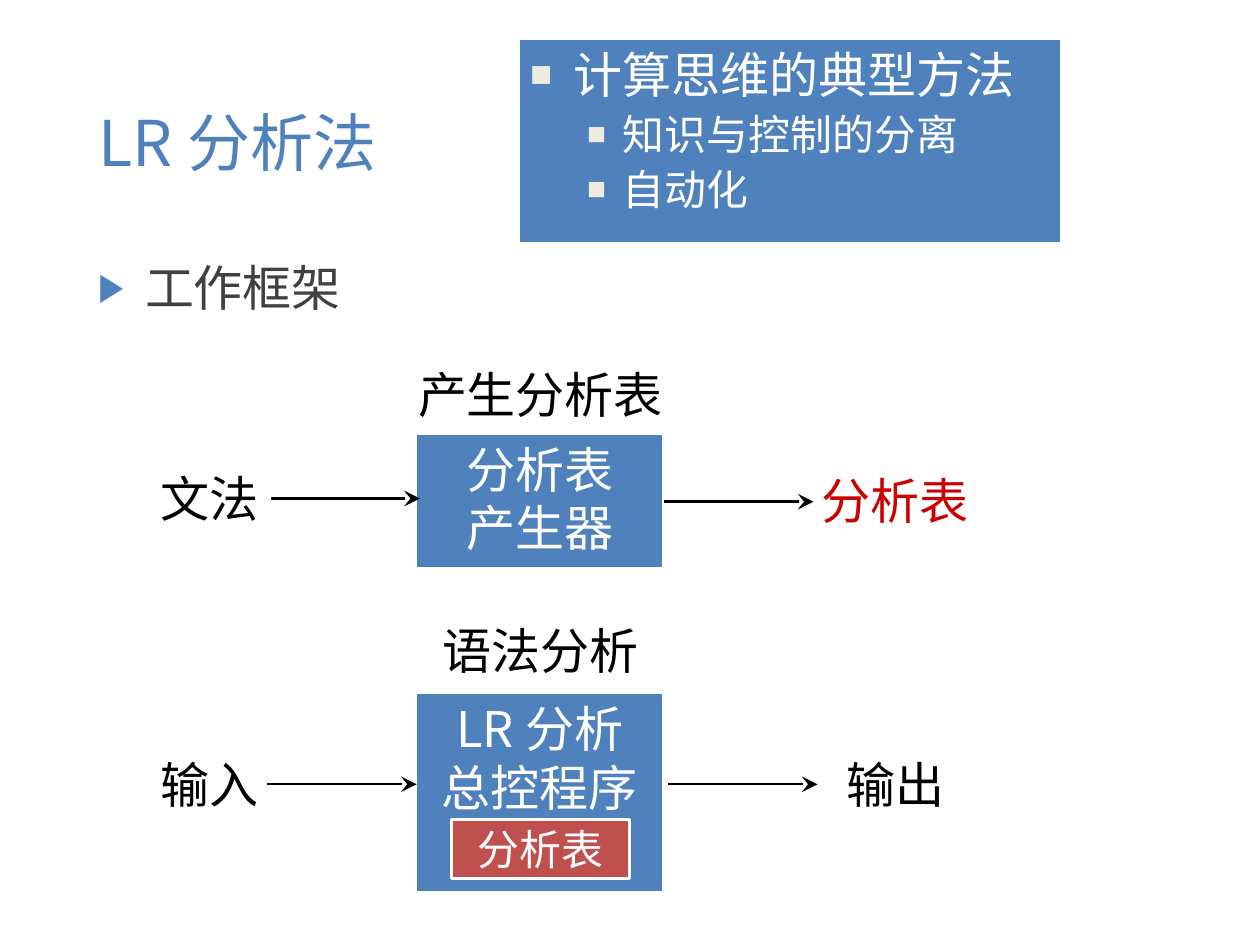
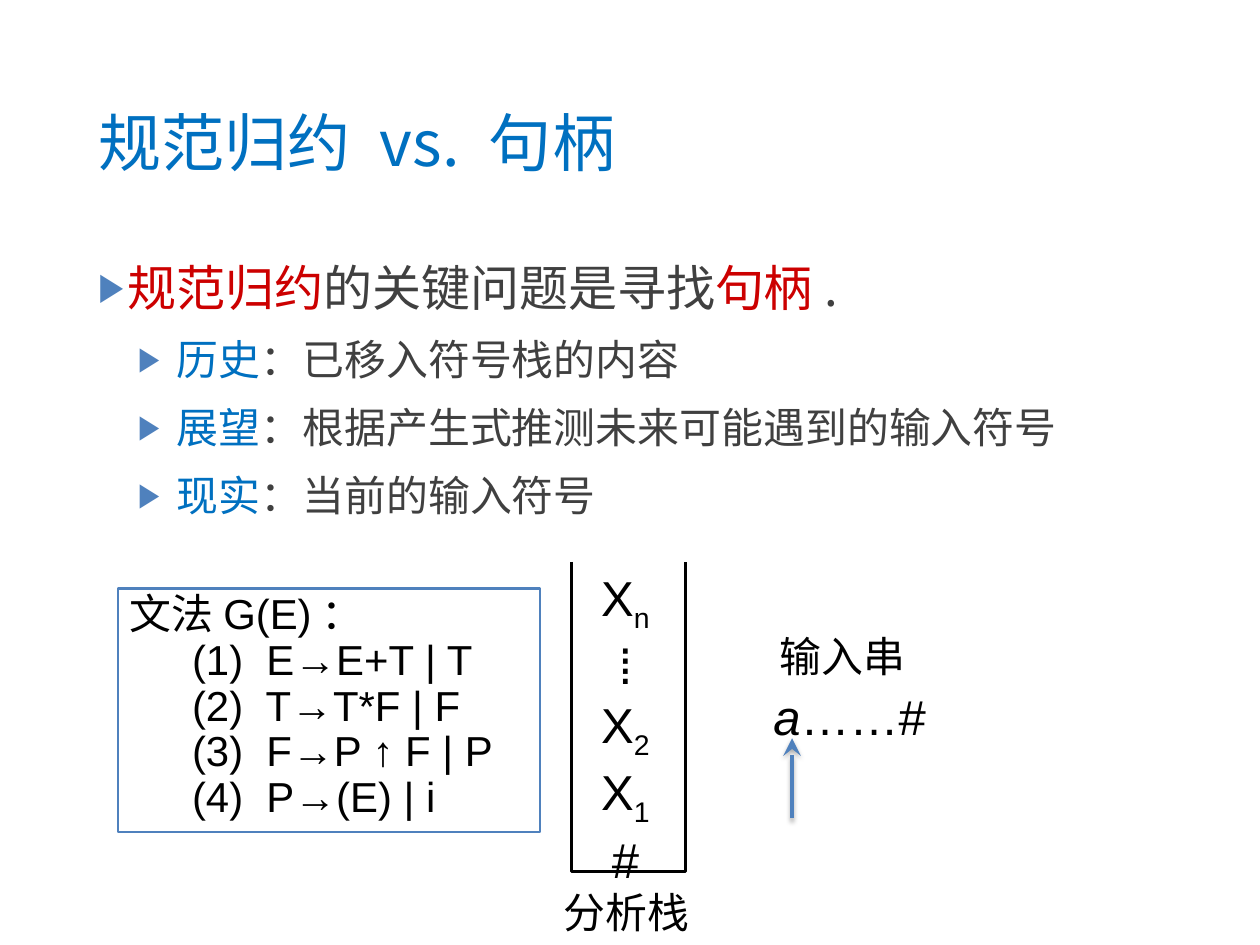
from dataclasses import dataclass
from typing import Any, NamedTuple, Optional

from lxml import etree
from pptx import Presentation
from pptx.dml.color import RGBColor
from pptx.enum.shapes import MSO_CONNECTOR, MSO_SHAPE
from pptx.enum.text import MSO_ANCHOR, MSO_AUTO_SIZE, PP_ALIGN
from pptx.oxml.ns import qn
from pptx.util import Pt

STRAIGHT = MSO_CONNECTOR.STRAIGHT
RECT = MSO_SHAPE.RECTANGLE
TOP, MIDDLE = MSO_ANCHOR.TOP, MSO_ANCHOR.MIDDLE
NO_FIT = MSO_AUTO_SIZE.NONE
LEFT, CENTER = PP_ALIGN.LEFT, PP_ALIGN.CENTER

BLUE = RGBColor(0x4F, 0x81, 0xBD)
AZURE = RGBColor(0x00, 0x70, 0xC0)
BRICK = RGBColor(0xC0, 0x50, 0x4D)
RED = RGBColor(0xCC, 0x00, 0x00)
GREY = RGBColor(0x40, 0x40, 0x40)
CREAM = RGBColor(0xEE, 0xEC, 0xE1)
BLACK = RGBColor(0x00, 0x00, 0x00)
WHITE = RGBColor(0xFF, 0xFF, 0xFF)

SANS, LATIN = "Noto Sans CJK SC", "Arial"
HUGE, LARGE, SMALL = 39.7, 30.9, 26.45
TIGHT = 1.2


class Box(NamedTuple):
    left: float
    top: float
    width: float
    height: float


class Run(NamedTuple):
    text: str
    color: RGBColor = BLACK
    face: str = SANS
    slant: bool = False
    base: int = 0


class Mark(NamedTuple):
    sign: str
    color: RGBColor
    scale: int


@dataclass
class Line:
    runs: list[Run]
    size: float = LARGE
    align: Any = CENTER
    level: int = 0
    margin: float = 0
    hang: float = 0
    before: float = 0
    pitch: Optional[float] = None
    mark: Optional[Mark] = None


class Label(NamedTuple):
    box: Box
    line: Line


class Arrow(NamedTuple):
    start: tuple[float, float]
    end: tuple[float, float]
    color: RGBColor = BLACK
    width: float = 1.5
    shade: bool = False


TITLE = Box(54.8, 31.7, 685, 115)
BODY = Box(54.8, 158.5, 685, 378)
WEDGE = Mark("▶", BLUE, 80)
SQUARE = Mark("■", CREAM, 75)


def assign(item: Any, values: dict[str, Any]) -> None:
    for key, value in values.items():
        setattr(item, key, value)


def place(box: Box) -> list[int]:
    return [Pt(value) for value in box]


def child(parent: Any, tag: str, **values: str) -> Any:
    node = etree.SubElement(parent, qn(tag))
    for key, value in values.items():
        node.set(key, value)
    return node


def add_mark(para: Any, mark: Mark) -> None:
    props = para._p.get_or_add_pPr()
    child(child(props, "a:buClr"), "a:srgbClr", val=str(mark.color))
    child(props, "a:buSzPct", val=str(mark.scale * 1000))
    child(props, "a:buFont", typeface=LATIN)
    child(props, "a:buChar", char=mark.sign)


def add_run(para: Any, part: Run, size: float) -> None:
    run = para.add_run()
    run.text = part.text
    assign(run.font, {"size": Pt(size), "name": part.face, "italic": part.slant})
    run.font.color.rgb = part.color
    props = run._r.get_or_add_rPr()
    child(props, "a:ea", typeface=SANS)
    if part.base:
        props.set("baseline", str(part.base * 1000))


def write(shape: Any, lines: list[Line], anchor: Any = TOP,
          wrap: bool = True, inset: float = 3.6) -> None:
    frame = shape.text_frame
    assign(frame, {
        "auto_size": NO_FIT, "word_wrap": wrap, "vertical_anchor": anchor,
        "margin_left": Pt(7.2), "margin_right": Pt(7.2),
        "margin_top": Pt(inset), "margin_bottom": Pt(3.6),
    })
    for index, line in enumerate(lines):
        para = frame.add_paragraph() if index else frame.paragraphs[0]
        if line.mark:
            add_mark(para, line.mark)
        assign(para, {"alignment": line.align, "level": line.level,
                      "space_before": Pt(line.before if index else 0)})
        if line.pitch:
            para.line_spacing = Pt(line.pitch)
        props = para._p.get_or_add_pPr()
        props.set("marL", str(Pt(line.margin)))
        props.set("indent", str(Pt(line.hang)))
        for part in line.runs:
            add_run(para, part, line.size)


def add_text(slide: Any, box: Box, lines: list[Line], **style: Any) -> None:
    write(slide.shapes.add_textbox(*place(box)), lines, **style)


def add_label(slide: Any, label: Label) -> None:
    add_text(slide, label.box, [label.line], anchor=MIDDLE, wrap=False)


def add_panel(slide: Any, box: Box, fill: RGBColor, lines: list[Line],
              edge: RGBColor = WHITE, width: float = 2, **style: Any) -> None:
    panel = slide.shapes.add_shape(RECT, *place(box))
    panel.shadow.inherit = False
    panel.fill.solid()
    panel.fill.fore_color.rgb = fill
    panel.line.color.rgb = edge
    panel.line.width = Pt(width)
    write(panel, lines, **style)


def add_arrow(slide: Any, arrow: Arrow) -> None:
    ends = [Pt(value) for value in (*arrow.start, *arrow.end)]
    link = slide.shapes.add_connector(STRAIGHT, *ends)
    link.line.color.rgb = arrow.color
    link.line.width = Pt(arrow.width)
    child(link.line._get_or_add_ln(), "a:tailEnd", type="stealth", w="lg", len="lg")
    effects = child(link._element.spPr, "a:effectLst")
    if arrow.shade:
        shadow = child(effects, "a:outerShdw", blurRad=str(Pt(3)),
                       dist=str(Pt(2)), dir="5400000", rotWithShape="0")
        child(child(shadow, "a:srgbClr", val=str(BLACK)), "a:alpha", val="35000")


def add_slide(deck: Any, title: str, color: RGBColor) -> Any:
    slide = deck.slides.add_slide(deck.slide_layouts[5])
    head = slide.shapes.title
    assign(head, dict(zip(("left", "top", "width", "height"), place(TITLE))))
    write(head, [Line([Run(title, color)], HUGE, LEFT)], MIDDLE)
    return slide


def point(runs: list[Run], size: float, mark: Mark, margin: float,
          hang: float, level: int = 0, before: float = 11) -> Line:
    return Line(runs, size, LEFT, level, margin, -hang, before, size * TIGHT, mark)


def stacked(text: str) -> Line:
    return Line([Run(text, WHITE)], pitch=LARGE * TIGHT)


def draw_frame(deck: Any) -> None:
    slide = add_slide(deck, "LR分析法", BLUE)
    add_text(slide, BODY, [point([Run("工作框架", GREY)], LARGE, WEDGE, 29.5, 29.5)])
    for box, texts in (
        (Box(262, 273, 156.2, 85.5), ("分析表", "产生器")),
        (Box(262, 436.3, 156.2, 126), ("LR分析", "总控程序")),
    ):
        add_panel(slide, box, BLUE, [stacked(text) for text in texts])
    add_panel(slide, Box(284.4, 516, 112.3, 37.4), BRICK,
              [Line([Run("分析表", WHITE)], SMALL)], anchor=MIDDLE, wrap=False)
    for left, top, width, text, color in (
        (82, 287.5, 100, "文法", BLACK),
        (514, 288.5, 100, "分析表", RED),
        (82, 467.5, 100, "输入", BLACK),
        (514, 467.5, 100, "输出", BLACK),
        (258.5, 222, 164, "产生分析表", BLACK),
        (258.5, 383, 164, "语法分析", BLACK),
    ):
        add_label(slide, Label(Box(left, top, width, 52.5), Line([Run(text, color)])))
    for left, level in ((170.5, 314), (418.5, 316), (168.5, 494), (421, 494)):
        add_arrow(slide, Arrow((left, level), (left + 94, level)))
    ideas = [point([Run("计算思维的典型方法", WHITE)], LARGE, SQUARE, 27.5, 27.5)]
    ideas += [point([Run(text, WHITE)], SMALL, SQUARE, 58.5, 22.5, 1, 3)
              for text in ("知识与控制的分离", "自动化")]
    add_panel(slide, Box(326.8, 24.5, 342, 129), BLUE, ideas)


def draw_stack(slide: Any) -> None:
    left, top, right, base = (Pt(value) for value in (360, 354, 432, 549.2))
    path = slide.shapes.build_freeform(left, top, scale=1.0)
    path.add_line_segments([(left, base), (right, base), (right, top)], close=False)
    wall = path.convert_to_shape()
    wall.shadow.inherit = False
    wall.fill.background()
    wall.line.color.rgb = BLACK
    wall.line.width = Pt(1.75)
    cells = [Line([Run(sign, face=LATIN)] + [Run(sub, face=LATIN, base=-25)] * bool(sub),
                  pitch=42 if sub else 38)
             for sign, sub in (("X", "n"), ("⁞", ""), ("X", "2"), ("X", "1"), ("#", ""))]
    add_text(slide, Box(369, 354, 50, 194.5), cells, wrap=False)


def draw_handle(deck: Any) -> None:
    slide = add_slide(deck, "规范归约 vs. 句柄", AZURE)
    points = [point([Run("规范归约", RED), Run("的关键问题是寻找", GREY),
                     Run("句柄", RED), Run(".", GREY)], LARGE, WEDGE, 18.5, 18.5)]
    points += [point([Run(term, AZURE), Run(text, GREY)], SMALL, WEDGE, 49.5, 24.5, 1)
               for term, text in (
                   ("历史", "：已移入符号栈的内容"),
                   ("展望", "：根据产生式推测未来可能遇到的输入符号"),
                   ("现实", "：当前的输入符号"))]
    add_text(slide, BODY, points)
    draw_stack(slide)
    for label in (
        Label(Box(479.5, 428.5, 111.5, 44.5),
              Line([Run("a", face=LATIN, slant=True), Run("……#", face=LATIN)])),
        Label(Box(347, 554.5, 95, 39.5), Line([Run("分析栈")], SMALL)),
        Label(Box(483, 393, 95, 39.5), Line([Run("输入串")], SMALL)),
    ):
        add_label(slide, label)
    add_arrow(slide, Arrow((499, 515.5), (499, 465), BLUE, 2.25, True))
    rules = ("文法G(E)：", "(1)  E→E+T | T", "(2)  T→T*F | F",
             "(3)  F→P ↑ F | P", "(4)  P→(E) | i")
    lines = [Line([Run(rule, face=LATIN)], SMALL, LEFT, int(row > 0),
                  39.5 if row else 0, pitch=28.7)
             for row, rule in enumerate(rules)]
    add_panel(slide, Box(74.4, 370.8, 265.7, 153.2), WHITE, lines, BLUE, 1.5, inset=2.6)


def main() -> None:
    deck = Presentation()
    assign(deck, {"slide_width": Pt(793.75), "slide_height": Pt(595.25)})
    draw_frame(deck)
    draw_handle(deck)
    deck.save("out.pptx")


if __name__ == "__main__":
    main()
